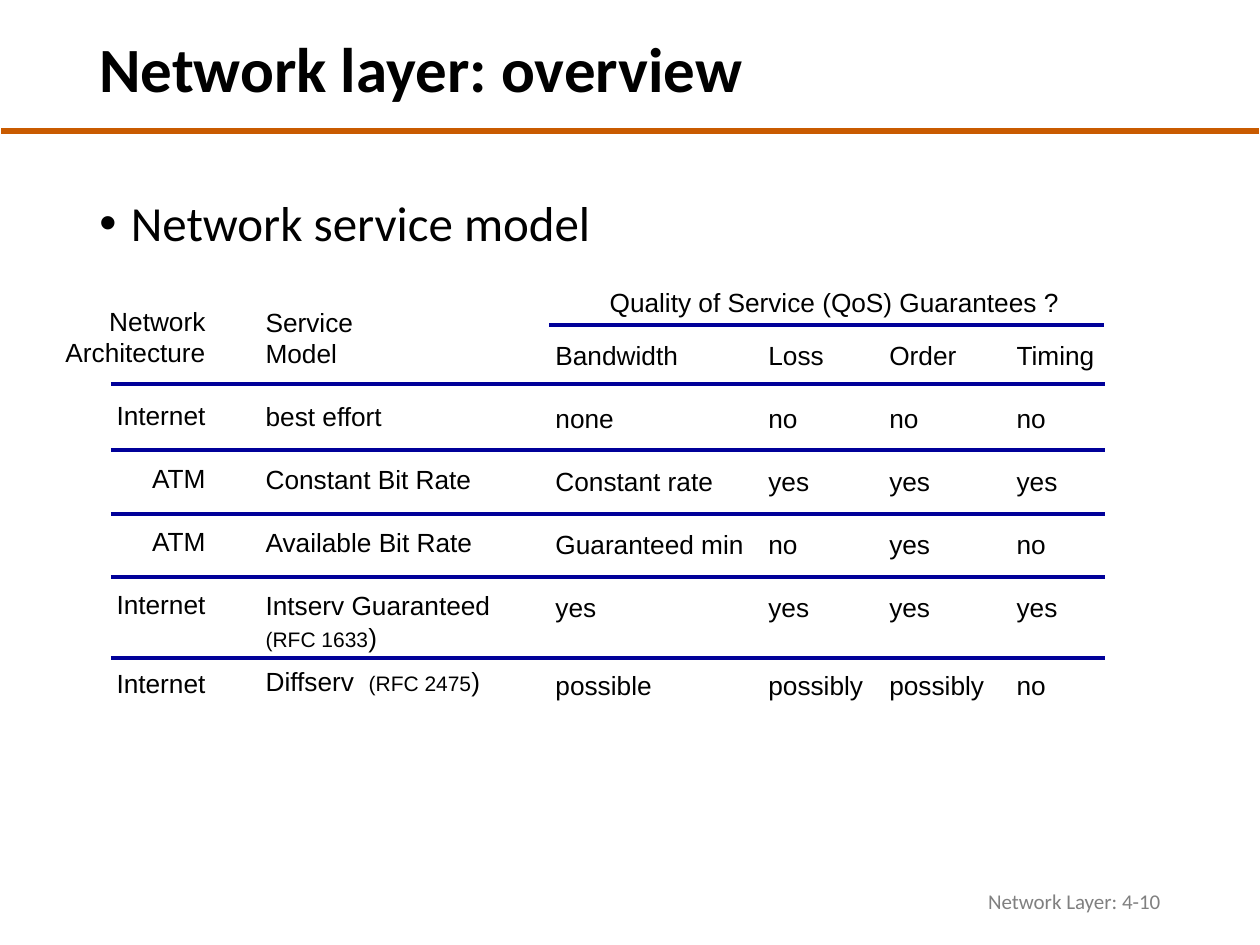
import pptx
import pptx.util
import pptx.dml.color
import pptx.enum.shapes
import pptx.enum.text
import lxml.etree

Pt = pptx.util.Pt
RGB = pptx.dml.color.RGBColor
ALIGN = pptx.enum.text.PP_ALIGN
MIDDLE = pptx.enum.text.MSO_ANCHOR.MIDDLE
BLACK, GRAY = RGB(0, 0, 0), RGB(0x80, 0x80, 0x80)
ORANGE, NAVY = RGB(0xC9, 0x5B, 0x00), RGB(0x00, 0x00, 0x99)

deck = pptx.Presentation()
deck.slide_width, deck.slide_height = pptx.util.Inches(10), pptx.util.Inches(7.5)
slide = deck.slides.add_slide(deck.slide_layouts[6])

# Grid of 10 columns by 7.5 rows
COL = deck.slide_width / 10
ROW = deck.slide_height / 7.5


def add_text(left, top, width, height, lines, font, size, color=BLACK, wrap=True):
    box = slide.shapes.add_textbox(int(left * COL), int(top * ROW),
                                   int(width * COL), int(height * ROW))
    frame = box.text_frame
    frame.text = "\n".join(lines)
    frame.word_wrap = wrap
    for paragraph in frame.paragraphs:
        for run in paragraph.runs:
            run.font.name, run.font.size, run.font.color.rgb = font, Pt(size), color
    return frame


def add_rule(left, right, y, color, weight):
    rule = slide.shapes.add_connector(
        pptx.enum.shapes.MSO_CONNECTOR.STRAIGHT,
        int(left * COL), int(y * ROW), int(right * COL), int(y * ROW))
    rule.line.color.rgb, rule.line.width = color, Pt(weight)
    properties = rule._element.spPr
    lxml.etree.SubElement(properties, pptx.oxml.ns.qn("a:effectLst"))


# Title and its rule
add_rule(0.01, 9.99, 1.04, ORANGE, 3)
title = add_text(0.69, 0.15, 7.93, 0.85, ["Network layer: overview"], "Calibri", 36)
title.vertical_anchor = MIDDLE
title.paragraphs[0].line_spacing = 0.9
title.paragraphs[0].runs[0].font.bold = True

# Footer
footer = add_text(7.06, 6.95, 2.25, 0.4, ["Network Layer: 4-10"], "Calibri", 12, GRAY)
footer.vertical_anchor = MIDDLE
footer.paragraphs[0].alignment = ALIGN.RIGHT

# Comparison columns: left, top, width, wrap, last gap, lines
LINE, GAP = 18, 18
columns = [
    (0.4, 2.37, 1.33, False, 27,
     ["Network", "Architecture", "Internet", "ATM", "ATM", "Internet", "Internet"]),
    (2.01, 2.38, 2.17, True, 7.5,
     ["Service", "Model", "best effort", "Constant Bit Rate", "Available Bit Rate",
      "Intserv Guaranteed", "(RFC 1633)", "Diffserv  (RFC 2475)"]),
    (4.31, 2.64, 1.75, True, 27,
     ["Bandwidth", "none", "Constant rate", "Guaranteed min", "yes", "possible"]),
    (6, 2.64, 0.96, False, 27, ["Loss", "no", "yes", "no", "yes", "possibly"]),
    (6.96, 2.64, 0.96, False, 27, ["Order", "no", "yes", "yes", "yes", "possibly"]),
    (7.97, 2.64, 0.83, False, 27, ["Timing", "no", "yes", "no", "yes", "no"]),
]
CONTINUED = ("Architecture", "Model", "(RFC 1633)")
for left, top, width, wrap, last_gap, lines in columns:
    column = add_text(left, top, width, 5.63 - top, lines, "Arial", 15, wrap=wrap)
    for index, (paragraph, line) in enumerate(zip(column.paragraphs, lines)):
        paragraph.line_spacing = Pt(LINE)
        if lines[0] == "Network":
            paragraph.alignment = ALIGN.RIGHT
        if index == len(lines) - 1:
            paragraph.space_before = Pt(last_gap)
        elif index and line not in CONTINUED:
            paragraph.space_before = Pt(GAP)
        # RFC references are smaller than their closing bracket
        if "(RFC" in line:
            name, reference = line[:line.index("(")], line[line.index("("):-1]
            paragraph.text = ""
            for part, size in ((name, 15), (reference, 12), (")", 15)):
                if part:
                    run = paragraph.add_run()
                    run.text = part
                    run.font.name, run.font.size = "Arial", Pt(size)
                    run.font.color.rgb = BLACK

# Guarantees heading and row rules
add_text(4.74, 2.22, 3.8, 0.35, ["Quality of Service (QoS) Guarantees ?"],
         "Arial", 15, wrap=False)
add_rule(4.36, 8.76, 2.58, NAVY, 2.25)
for y in (3.05, 3.57, 4.08, 4.58, 5.22):
    add_rule(0.88, 8.77, y, NAVY, 2.25)

# Topic bullet
topic = add_text(0.69, 1.53, 8.62, 0.63, ["Network service model"], "Calibri", 28)
bullet = topic.paragraphs[0]
bullet.line_spacing = 0.9
indent = bullet._p.get_or_add_pPr()
indent.set("marL", str(int(0.25 * COL)))
indent.set("indent", str(int(-0.25 * COL)))
for tag, key, value in (("a:buFont", "typeface", "Arial"), ("a:buChar", "char", "•")):
    lxml.etree.SubElement(indent, pptx.oxml.ns.qn(tag)).set(key, value)

deck.save("out.pptx")
